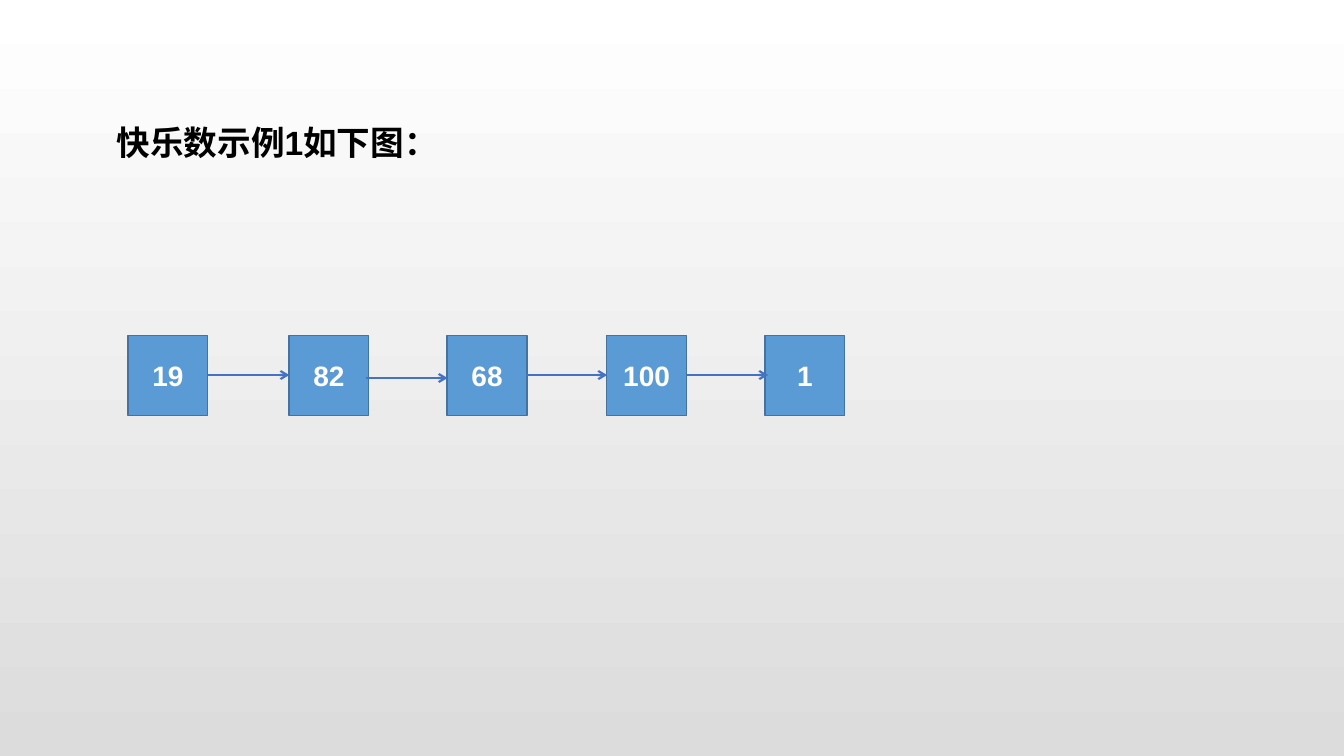
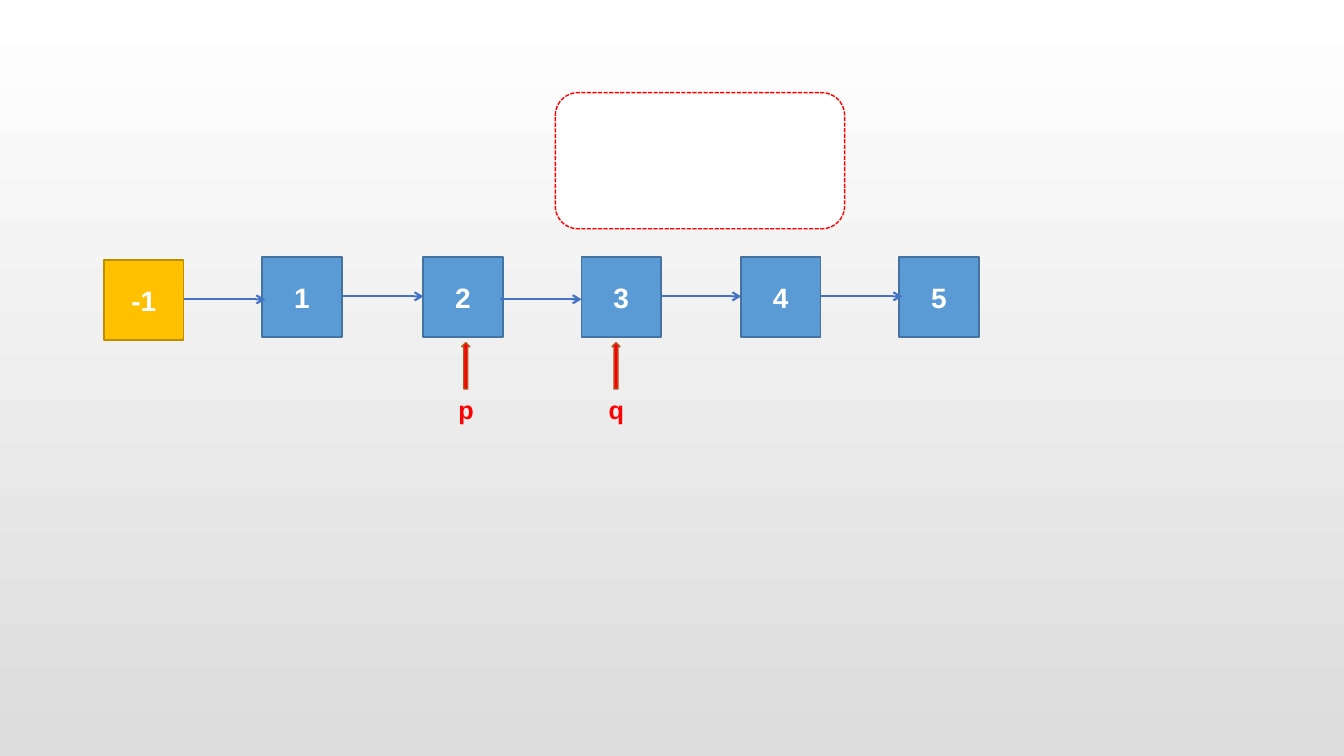
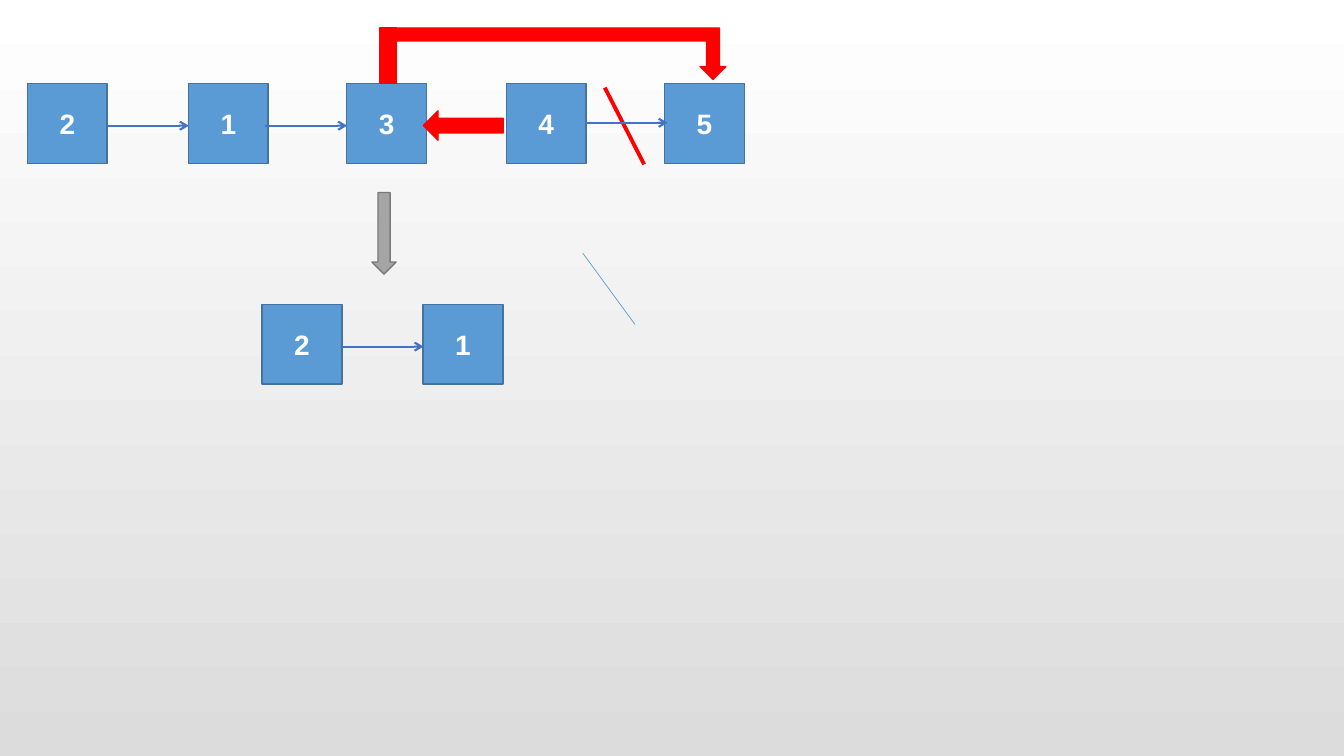
from dataclasses import dataclass

from lxml.etree import SubElement
from pptx import Presentation
from pptx.dml.color import RGBColor
from pptx.enum.dml import MSO_LINE
from pptx.enum.lang import MSO_LANGUAGE_ID
from pptx.enum.shapes import MSO_CONNECTOR, MSO_SHAPE
from pptx.enum.text import MSO_ANCHOR, MSO_AUTO_SIZE, PP_ALIGN
from pptx.oxml.ns import qn
from pptx.shapes.autoshape import Shape
from pptx.slide import Slide
from pptx.text.text import TextFrame
from pptx.util import Pt

WHITE = RGBColor(0xFF, 0xFF, 0xFF)
BLACK = RGBColor(0x00, 0x00, 0x00)
MIST = RGBColor(0xDC, 0xDC, 0xDC)
BLUE = RGBColor(0x5B, 0x9B, 0xD5)
NAVY = RGBColor(0x43, 0x73, 0x9E)
ROYAL = RGBColor(0x44, 0x72, 0xC4)
GOLD = RGBColor(0xFF, 0xC0, 0x00)
OCHRE = RGBColor(0xBD, 0x8E, 0x00)
RED = RGBColor(0xFF, 0x00, 0x00)
RUST = RGBColor(0xAF, 0x5C, 0x24)
GRAY = RGBColor(0xA5, 0xA5, 0xA5)
SLATE = RGBColor(0x7A, 0x7A, 0x7A)

FONT = "Arial"
SIDE = 57
REACH = 58.3
NODES = (0, 115, 228, 342, 455)
LINKS = (57, 170, 284, 399)
HIGH = 28.1
LOW = 30.2


@dataclass(frozen=True)
class Link:
    slot: int
    drop: float


@dataclass(frozen=True)
class Chain:
    left: float
    top: float
    labels: tuple[str, ...]
    links: tuple[Link, ...]
    fill: RGBColor = BLUE
    edge: RGBColor = NAVY


@dataclass(frozen=True)
class Form:
    kind: MSO_SHAPE
    left: float
    top: float
    width: float
    height: float
    fill: RGBColor
    edge: RGBColor
    flip: bool = False


@dataclass(frozen=True)
class Mark:
    name: str
    left: float


HAPPY = Chain(91.4, 239.8, ("19", "82", "68", "100", "1"),
              (Link(0, HIGH), Link(1, LOW), Link(2, HIGH), Link(3, HIGH)))
LIST = Chain(187.2, 183.6, ("1", "2", "3", "4", "5"), HAPPY.links)
DUMMY = Chain(74.2, 185.8, ("-1",), (Link(0, HIGH),), GOLD, OCHRE)
SWAP = Chain(19.6, 59.6, ("2", "1", "3", "4", "5"),
             (Link(1, LOW), Link(0, LOW), Link(3, HIGH)))
PAIR = Chain(187.2, 217.4, ("2", "1"), (Link(0, LOW),))
MARKS = (Mark("p", 320.4), Mark("q", 427.7))
MOVES = (
    Form(MSO_SHAPE.LEFT_ARROW, 302.4, 79.2, 57, 21, RED, RED),
    Form(MSO_SHAPE.BENT_UP_ARROW, 278, 20, 240.5, 36.7, RED, RED, True),
    Form(MSO_SHAPE.RECTANGLE, 271.6, 20, 11.5, 39.3, RED, RED),
    Form(MSO_SHAPE.DOWN_ARROW, 265.7, 137.5, 17.3, 58.3, GRAY, SLATE),
)


def write(frame: TextFrame, text: str, size: float, color: RGBColor):
    run = frame.paragraphs[0].add_run()
    run.text = text
    run.font.name = FONT
    run.font.size = Pt(size)
    run.font.bold = True
    run.font.color.rgb = color
    return run


def label(slide: Slide, text: str, left: float, top: float, width: float,
          height: float, size: float, color: RGBColor):
    box = slide.shapes.add_textbox(Pt(left), Pt(top), Pt(width), Pt(height))
    frame = box.text_frame
    frame.word_wrap = False
    frame.auto_size = MSO_AUTO_SIZE.SHAPE_TO_FIT_TEXT
    return write(frame, text, size, color)


def draw(slide: Slide, form: Form) -> Shape:
    shape = slide.shapes.add_shape(form.kind, Pt(form.left), Pt(form.top),
                                   Pt(form.width), Pt(form.height))
    shape.shadow.inherit = False
    shape.fill.solid()
    shape.fill.fore_color.rgb = form.fill
    shape.line.color.rgb = form.edge
    shape.line.width = Pt(1)
    if form.flip:
        shape.element.spPr.find(qn("a:xfrm")).set("flipV", "1")
    return shape


def stroke(slide: Slide, start: tuple[float, float], end: tuple[float, float],
           color: RGBColor, width: float, arrow: bool = False) -> None:
    line = slide.shapes.add_connector(MSO_CONNECTOR.STRAIGHT, Pt(start[0]),
                                      Pt(start[1]), Pt(end[0]), Pt(end[1]))
    line.line.color.rgb = color
    line.line.width = Pt(width)
    props = line.element.spPr
    if arrow:
        SubElement(props.find(qn("a:ln")), qn("a:tailEnd"), type="arrow")
    SubElement(props, qn("a:effectLst"))


def node(slide: Slide, text: str, left: float, chain: Chain) -> None:
    shape = draw(slide, Form(MSO_SHAPE.RECTANGLE, left, chain.top, SIDE, SIDE,
                             chain.fill, chain.edge))
    frame = shape.text_frame
    frame.vertical_anchor = MSO_ANCHOR.MIDDLE
    frame.paragraphs[0].alignment = PP_ALIGN.CENTER
    write(frame, text, 20, WHITE)


def row(slide: Slide, chain: Chain) -> None:
    for text, shift in zip(chain.labels, NODES):
        node(slide, text, chain.left + shift, chain)
    for link in chain.links:
        left = chain.left + LINKS[link.slot]
        top = chain.top + link.drop
        stroke(slide, (left, top), (left + REACH, top), ROYAL, 1.5, True)


def point(slide: Slide, mark: Mark) -> None:
    draw(slide, Form(MSO_SHAPE.UP_ARROW, mark.left + 9.4, 244.8, 5.8, 33.1,
                     RED, RUST))
    label(slide, mark.name, mark.left, 277.9, 25.2, 28.8, 18, RED)


def happy(slide: Slide) -> None:
    row(slide, HAPPY)
    title = label(slide, "快乐数示例1如下图：", 76.3, 83.5, 244, 36, 24, BLACK)
    title.font.language_id = MSO_LANGUAGE_ID.SIMPLIFIED_CHINESE


def walk(slide: Slide) -> None:
    frame = draw(slide, Form(MSO_SHAPE.ROUNDED_RECTANGLE, 396.7, 66.2, 206.6,
                             97.2, WHITE, RED))
    frame.line.dash_style = MSO_LINE.SQUARE_DOT
    row(slide, LIST)
    row(slide, DUMMY)
    for mark in MARKS:
        point(slide, mark)


def swap(slide: Slide) -> None:
    stroke(slide, (432, 62.6), (460.1, 117.4), RED, 2.75)
    row(slide, SWAP)
    for form in MOVES:
        draw(slide, form)
    row(slide, PAIR)
    stroke(slide, (416.2, 180.7), (453.6, 231.8), BLUE, 0.5)


def main() -> None:
    deck = Presentation()
    deck.slide_width = Pt(960)
    deck.slide_height = Pt(540)
    back = deck.slide_master.background.fill
    back.gradient()
    back.gradient_angle = 270
    for stop, color in zip(back.gradient_stops, (WHITE, MIST)):
        stop.color.rgb = color
    for build in (happy, walk, swap):
        build(deck.slides.add_slide(deck.slide_layouts[6]))
    deck.save("out.pptx")


if __name__ == "__main__":
    main()
